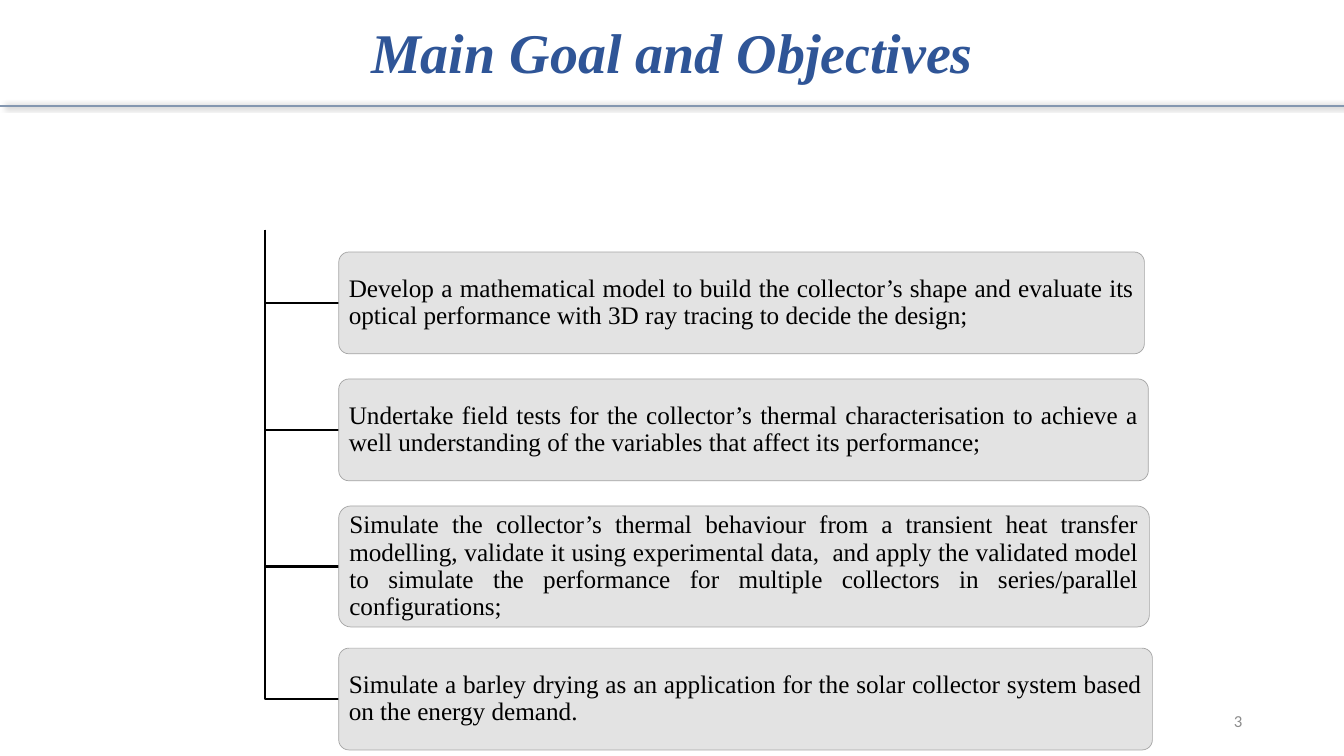
from lxml.etree import SubElement
from pptx import Presentation
from pptx.dml.color import RGBColor
from pptx.enum.shapes import MSO_CONNECTOR, MSO_SHAPE
from pptx.enum.text import MSO_ANCHOR, PP_ALIGN
from pptx.oxml.ns import qn
from pptx.util import Inches, Pt

theme = dict(
    serif="Times New Roman", sans="Calibri",
    blue="2F5597", rule="8497B0", ink="000000",
    fill="E1E1E1", edge="A5A5A5", grey="8C8C8C",
    head=40, body=18, foot=12,
)

WIDE, HIGH = 13.33, 7.5
TRUNK, LEFT, START = 2.63, 3.36, 2.28  # trunk x, box x, trunk top

# Box top, width, height and wording
goals = [
    (2.5, 7.99, 1.01, "Develop a mathematical model to build the collector’s shape and "
     "evaluate its optical performance with 3D ray tracing to decide the design;"),
    (3.76, 8.03, 1.01, "Undertake field tests for the collector’s thermal characterisation to "
     "achieve a well understanding of the variables that affect its performance;"),
    (5.02, 8.04, 1.2, "Simulate the collector’s thermal behaviour from a transient heat "
     "transfer modelling, validate it using experimental data,  and apply the validated model "
     "to simulate the performance for multiple collectors in series/parallel configurations;"),
    (6.43, 8.07, 1.01, "Simulate a barley drying as an application for the solar collector "
     "system based on the energy demand."),
]


def write(shape, text, align, anchor, font, size, color):
    frame = shape.text_frame
    frame.text = text
    frame.word_wrap = True
    frame.vertical_anchor = anchor
    para = frame.paragraphs[0]
    para.alignment = align
    para.font.name = theme[font]
    para.font.size = Pt(theme[size])
    para.font.color.rgb = RGBColor.from_string(theme[color])
    return para


def stroke(shape, color, width):
    shape.line.color.rgb = RGBColor.from_string(theme[color])
    shape.line.width = Pt(width)


deck = Presentation()
deck.slide_width, deck.slide_height = Inches(WIDE), Inches(HIGH)
slide = deck.slides.add_slide(deck.slide_layouts[5])
shapes = slide.shapes

# Title
title = shapes.title
title.left, title.top = 0, 0
title.width, title.height = Inches(WIDE), Inches(0.9)
para = write(title, "Main Goal and Objectives", PP_ALIGN.CENTER, MSO_ANCHOR.BOTTOM,
             "serif", "head", "blue")
para.line_spacing = 0.9
para.font.bold = para.font.italic = True

# Rule under the title, with a soft shadow
rule = shapes.add_connector(MSO_CONNECTOR.STRAIGHT, 0, Inches(1.05), Inches(WIDE), Inches(1.05))
stroke(rule, "rule", 1.5)
effect = SubElement(rule._element.spPr, qn("a:effectLst"))
shade = SubElement(effect, qn("a:outerShdw"), blurRad=str(Pt(4)), dist=str(Pt(3)), dir="0")
tint = SubElement(shade, qn("a:srgbClr"), val=theme["ink"])
SubElement(tint, qn("a:alpha"), val="40000")

# Objectives, each on its own branch
for top, width, height, text in goals:
    mid = top + height / 2
    pen = shapes.build_freeform(Inches(TRUNK), Inches(START))
    pen.add_line_segments([(Inches(TRUNK), Inches(mid)), (Inches(LEFT), Inches(mid))], close=False)
    branch = pen.convert_to_shape()
    branch.shadow.inherit = False
    branch.fill.background()
    stroke(branch, "ink", 1.5)

    box = shapes.add_shape(MSO_SHAPE.ROUNDED_RECTANGLE, Inches(LEFT), Inches(top),
                           Inches(width), Inches(height))
    box.adjustments[0] = 0.1
    box.shadow.inherit = False
    box.fill.solid()
    box.fill.fore_color.rgb = RGBColor.from_string(theme["fill"])
    tint = box._element.spPr.find(qn("a:solidFill")).find(qn("a:srgbClr"))
    SubElement(tint, qn("a:alpha"), val="90000")
    stroke(box, "edge", 0.5)
    frame = box.text_frame
    frame.margin_left = frame.margin_right = Inches(0.07)
    frame.margin_top = frame.margin_bottom = Inches(0.06)
    para = write(box, text, PP_ALIGN.JUSTIFY, MSO_ANCHOR.MIDDLE, "serif", "body", "ink")
    para.line_spacing = 0.9

# Page number
page = shapes.add_textbox(Inches(9.42), Inches(6.95), Inches(3), Inches(0.4))
write(page, "3", PP_ALIGN.RIGHT, MSO_ANCHOR.MIDDLE, "sans", "foot", "grey")

deck.save("out.pptx")
